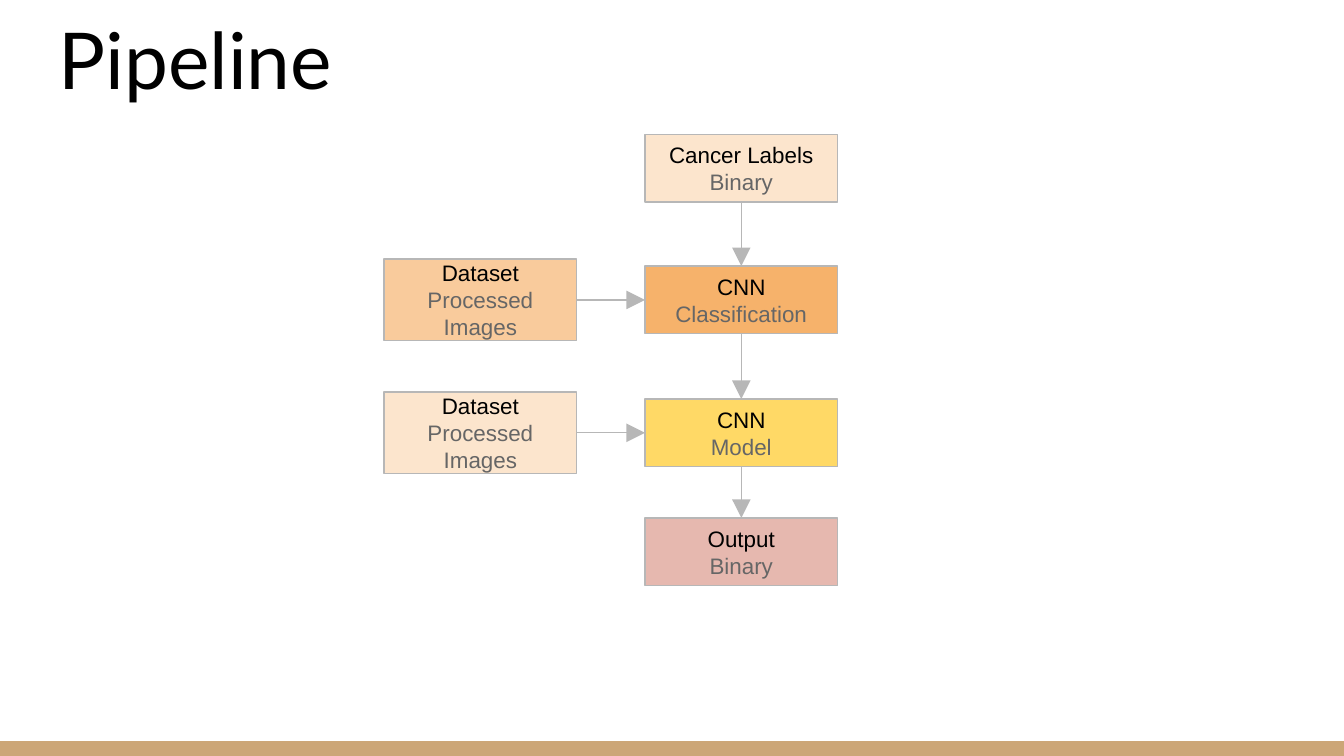
from lxml.etree import SubElement
from pptx import Presentation
from pptx.dml.color import RGBColor
from pptx.enum.shapes import MSO_CONNECTOR, MSO_SHAPE
from pptx.enum.text import MSO_ANCHOR, PP_ALIGN
from pptx.oxml.ns import qn
from pptx.util import Cm, Pt

BOTTOM, LEFT, RIGHT, TOP = 2, 1, 3, 0


def color(hex_string):
    return RGBColor.from_string(hex_string)


def write(paragraph, text, font="Arial", size=12, ink="000000", align=PP_ALIGN.CENTER):
    paragraph.alignment = align
    run = paragraph.add_run()
    run.text = text
    run.font.name = font
    run.font.size = Pt(size)
    run.font.color.rgb = color(ink)


class PipelineSlide:
    line_color = "B7B7B7"
    line_width = Pt(0.75)
    detail_color = "666666"
    inset = Cm(0.25)

    def __init__(self, presentation):
        self.slide = presentation.slides.add_slide(presentation.slide_layouts[6])

    def frame(self, shape, anchor):
        frame = shape.text_frame
        frame.word_wrap = True
        frame.vertical_anchor = anchor
        frame.margin_left = frame.margin_right = self.inset
        frame.margin_top = frame.margin_bottom = self.inset
        return frame

    def title(self, text, left, top, width, height):
        shape = self.slide.shapes.add_textbox(Cm(left), Cm(top), Cm(width), Cm(height))
        frame = self.frame(shape, MSO_ANCHOR.BOTTOM)
        write(frame.paragraphs[0], text, font="Lato", size=42, align=PP_ALIGN.LEFT)

    def rectangle(self, left, top, width, height, fill):
        shape = self.slide.shapes.add_shape(
            MSO_SHAPE.RECTANGLE, Cm(left), Cm(top), Cm(width), Cm(height))
        shape.shadow.inherit = False
        shape.fill.solid()
        shape.fill.fore_color.rgb = color(fill)
        shape.line.fill.background()
        return shape

    def box(self, name, detail, left, top, width, height, fill):
        shape = self.rectangle(left, top, width, height, fill)
        shape.line.color.rgb = color(self.line_color)
        shape.line.width = self.line_width
        frame = self.frame(shape, MSO_ANCHOR.MIDDLE)
        write(frame.paragraphs[0], name)
        write(frame.add_paragraph(), detail, ink=self.detail_color)
        return shape

    def arrow(self, source, source_side, target, target_side):
        connector = self.slide.shapes.add_connector(MSO_CONNECTOR.STRAIGHT, 0, 0, 0, 0)
        connector.begin_connect(source, source_side)
        connector.end_connect(target, target_side)
        connector.line.color.rgb = color(self.line_color)
        connector.line.width = self.line_width
        SubElement(connector.line._get_or_add_ln(), qn("a:tailEnd"),
                   type="triangle", w="lg", len="lg")
        SubElement(connector._element.spPr, qn("a:effectLst"))


def main():
    presentation = Presentation()
    presentation.slide_width = Cm(25.4)
    presentation.slide_height = Cm(14.29)
    pipeline = PipelineSlide(presentation)

    # Footer bar and title
    pipeline.rectangle(0, 14.01, 25.4, 0.28, "CCA677")
    pipeline.title("Pipeline", 0.86, 0.38, 23.67, 1.85)

    # Main column of stages
    box_width, stage_height, input_height = 3.64, 1.28, 1.54
    stages = [
        ("Cancer Labels", "Binary", 2.54, "FCE5CD"),
        ("CNN", "Classification", 5.03, "F6B26B"),
        ("CNN", "Model", 7.54, "FFD966"),
        ("Output", "Binary", 9.79, "E6B8AF"),
    ]
    stage_boxes = [
        pipeline.box(name, detail, 12.19, top, box_width, stage_height, fill)
        for name, detail, top, fill in stages
    ]
    for source, target in zip(stage_boxes, stage_boxes[1:]):
        pipeline.arrow(source, BOTTOM, target, TOP)

    # Image inputs, each centred on the stage it feeds
    for index, fill in ((1, "F9CB9C"), (2, "FCE5CD")):
        top = stages[index][2] - (input_height - stage_height) / 2
        image_input = pipeline.box("Dataset", "Processed Images", 7.26, top,
                                   box_width, input_height, fill)
        pipeline.arrow(image_input, RIGHT, stage_boxes[index], LEFT)

    presentation.save("out.pptx")


if __name__ == "__main__":
    main()
